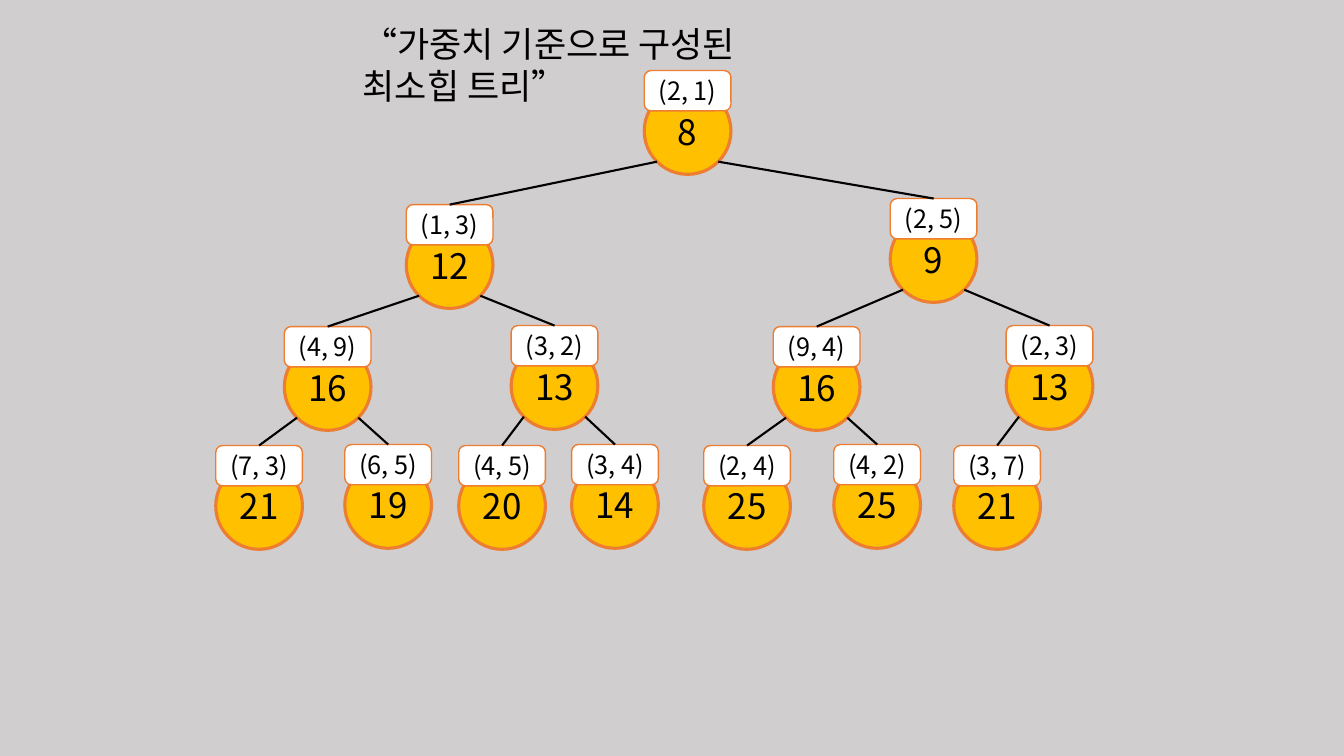
import math
import pptx
import pptx.util
import pptx.dml.color
import pptx.enum.shapes
import pptx.enum.text
import pptx.oxml.ns
import lxml.etree

Inches = pptx.util.Inches
Pt = pptx.util.Pt
Kind = pptx.enum.shapes.MSO_SHAPE
FONT = "Noto Sans CJK KR"


def color(code):
    return pptx.dml.color.RGBColor.from_string(code)


def part(group, kind, x, y, high, fill, width, text, size):
    shape = group.shapes.add_shape(kind, Inches(x), Inches(y), Inches(SIZE), Inches(high))
    shape.shadow.inherit = False
    shape.fill.solid()
    shape.fill.fore_color.rgb = color(fill)
    shape.line.color.rgb = color("ED7D31")
    shape.line.width = Pt(width)
    frame = shape.text_frame
    frame.text = text
    frame.vertical_anchor = pptx.enum.text.MSO_ANCHOR.MIDDLE
    para = frame.paragraphs[0]
    para.alignment = pptx.enum.text.PP_ALIGN.CENTER
    para.font.name = FONT
    para.font.size = Pt(size)
    para.font.color.rgb = color("000000")
    return shape


deck = pptx.Presentation()
deck.slide_width = Inches(13.33)
deck.slide_height = Inches(7.5)
slide = deck.slides.add_slide(deck.slide_layouts[6])
slide.background.fill.solid()
slide.background.fill.fore_color.rgb = color("D0CECE")

title = slide.shapes.add_textbox(Inches(3.5), Inches(0.17), Inches(4.76), Inches(0.52))
title.text_frame.word_wrap = True
para = title.text_frame.paragraphs[0]
para.text = "“가중치 기준으로 구성된 최소힙 트리”"
para.font.name = FONT
para.font.size = Pt(25)
para.font.color.rgb = color("000000")

SIZE = 0.86
DROP = 0.17
heap = [
    (6.39, 0.7, "8", "(2, 1)"),
    (4.03, 2.03, "12", "(1, 3)"),
    (8.83, 1.97, "9", "(2, 5)"),
    (2.82, 3.24, "16", "(4, 9)"),
    (5.07, 3.23, "13", "(3, 2)"),
    (7.67, 3.24, "16", "(9, 4)"),
    (9.98, 3.23, "13", "(2, 3)"),
    (2.14, 4.42, "21", "(7, 3)"),
    (3.42, 4.41, "19", "(6, 5)"),
    (4.55, 4.42, "20", "(4, 5)"),
    (5.67, 4.41, "14", "(3, 4)"),
    (6.98, 4.42, "25", "(2, 4)"),
    (8.27, 4.41, "25", "(4, 2)"),
    (9.46, 4.42, "21", "(3, 7)"),
]

reach = SIZE / 2 * math.sqrt(0.5)
for i, (x, y, weight, edge) in enumerate(heap):
    node = slide.shapes.add_group_shape()
    part(node, Kind.OVAL, x, y + DROP, SIZE, "FFC000", 2.25, weight, 25)
    tag = part(node, Kind.ROUNDED_RECTANGLE, x, y, 0.4, "FFFFFF", 1, edge, 18)
    if i == 0:
        continue
    left, top = heap[(i - 1) // 2][:2]
    side = -1 if i % 2 else 1
    link = slide.shapes.add_connector(
        pptx.enum.shapes.MSO_CONNECTOR.STRAIGHT,
        Inches(left + SIZE / 2 + side * reach), Inches(top + DROP + SIZE / 2 + reach),
        Inches(x + SIZE / 2), Inches(y))
    link.end_connect(tag, 0)
    link.line.color.rgb = color("000000")
    link.line.width = Pt(1.5)
    props = link._element.spPr
    lxml.etree.SubElement(props, pptx.oxml.ns.qn("a:effectLst"))

deck.save("out.pptx")
